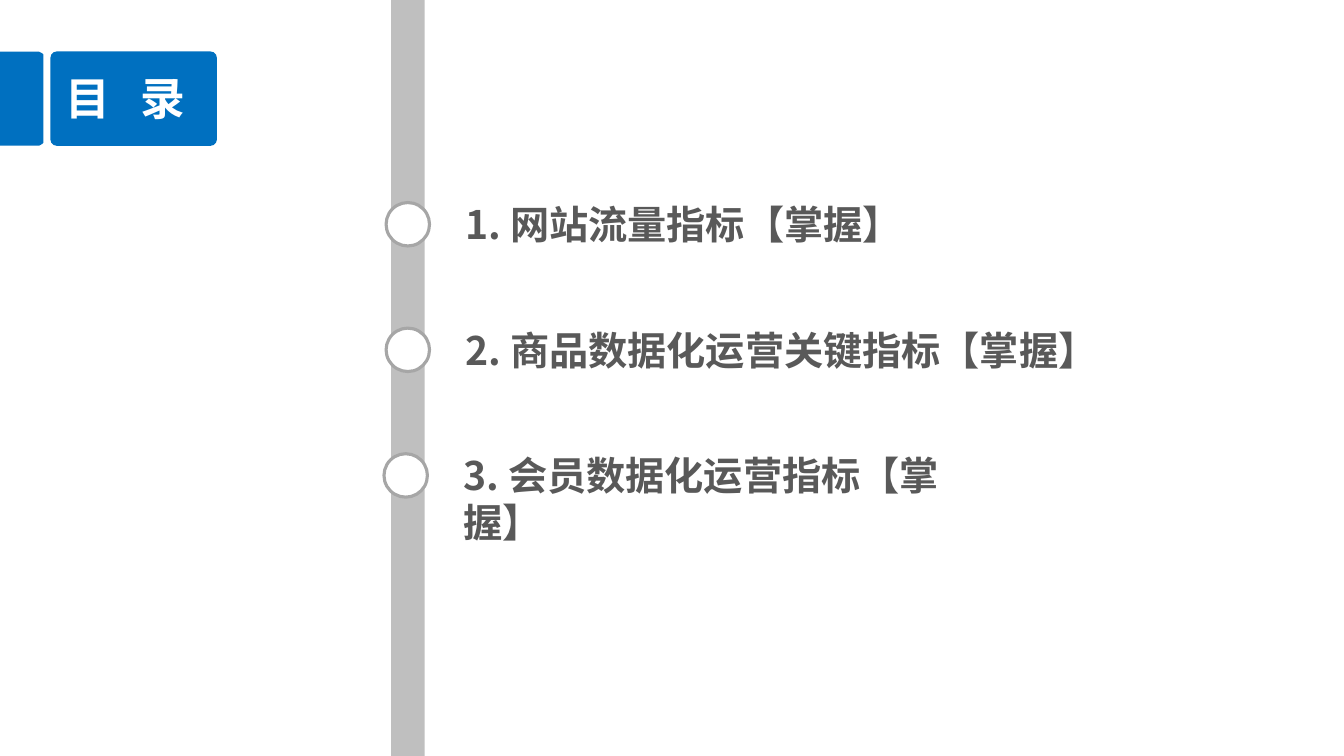
import math

import pptx
import pptx.dml.color
import pptx.enum.shapes
import pptx.enum.text
import pptx.oxml.ns
import pptx.util
from lxml import etree

Pt = pptx.util.Pt
RGB = pptx.dml.color.RGBColor
Kind = pptx.enum.shapes.MSO_SHAPE
Align = pptx.enum.text.PP_ALIGN
Fit = pptx.enum.text.MSO_AUTO_SIZE

BLUE = RGB(0x00, 0x70, 0xC0)
WHITE = RGB(0xFF, 0xFF, 0xFF)
RAIL = RGB(0xBF, 0xBF, 0xBF)
RING = RGB(0xA6, 0xA6, 0xA6)
INK = RGB(0x59, 0x59, 0x59)

HEAD = {"size": Pt(32), "name": "Calibri", "bold": True}
ITEM = {"size": Pt(28), "name": "Noto Sans CJK SC", "bold": True}


class Page:
    """Draws the elements of one slide in a shared style."""

    def __init__(self, slide, face):
        self.shapes = slide.shapes
        self.face = face

    def paint(self, shape, fill, line=None):
        shape.shadow.inherit = False
        shape.fill.solid()
        shape.fill.fore_color.rgb = fill
        if line is None:
            shape.line.fill.background()
        else:
            shape.line.color.rgb = line
            shape.line.width = Pt(2.25)
        return shape

    def form(self, kind, box, fill, line=None):
        shape = self.shapes.add_shape(kind, *map(Pt, box))
        return self.paint(shape, fill, line)

    def tab(self, right, top, low, rx, ry):
        turns = [math.radians(step * 15) for step in range(7)]
        arc = [(rx * math.sin(t), ry * math.cos(t)) for t in turns]
        upper = [(right - rx + x, top + ry - y) for x, y in arc]
        lower = [(right - rx + x, low - ry + y) for x, y in reversed(arc)]
        pen = self.shapes.build_freeform(0, top, scale=Pt(1))
        pen.add_line_segments(upper + lower + [(0, low)], close=True)
        return self.paint(pen.convert_to_shape(), BLUE)

    def text(self, box, parts, style, color, align=Align.LEFT):
        frame = self.shapes.add_textbox(*map(Pt, box)).text_frame
        frame.word_wrap = True
        frame.auto_size = Fit.SHAPE_TO_FIT_TEXT
        para = frame.paragraphs[0]
        para.alignment = align
        for words, gap in parts:
            run = para.add_run()
            run.text = words
            for key, value in style.items():
                setattr(run.font, key, value)
            run.font.color.rgb = color
            props = run.font._element
            east = etree.SubElement(props, pptx.oxml.ns.qn("a:ea"))
            east.set("typeface", self.face)
            if gap:
                props.set("spc", str(gap * 100))


def main():
    deck = pptx.Presentation()
    deck.slide_width, deck.slide_height = Pt(960), Pt(540)
    page = Page(deck.slides.add_slide(deck.slide_layouts[6]), ITEM["name"])

    page.tab(31, 36.7, 104.2, 5, 3)
    plate = page.form(Kind.ROUNDED_RECTANGLE, (36, 36.7, 119, 67.5), BLUE)
    plate.adjustments[0] = 0.07
    title = [("目", 0), (" ", 14), ("录", 0)]
    page.text((30.2, 46.8, 119, 46), title, HEAD, WHITE, Align.CENTER)

    page.form(Kind.RECTANGLE, (279.4, 0, 24, 540), RAIL)
    items = [
        ("1. 网站流量指标【掌握】", 275.8, 398),
        ("2. 商品数据化运营关键指标【掌握】", 275.8, 515.5),
        ("3. 会员数据化运营指标【掌握】", 274.3, 398),
    ]
    for row, (words, left, width) in enumerate(items):
        top = 144.7 + row * 89.7
        page.form(Kind.OVAL, (left, top, 31, 31), WHITE, RING)
        page.text((left + 49.7, top - 5, width, 41), [(words, 0)], ITEM, INK)

    deck.save("out.pptx")


if __name__ == "__main__":
    main()
